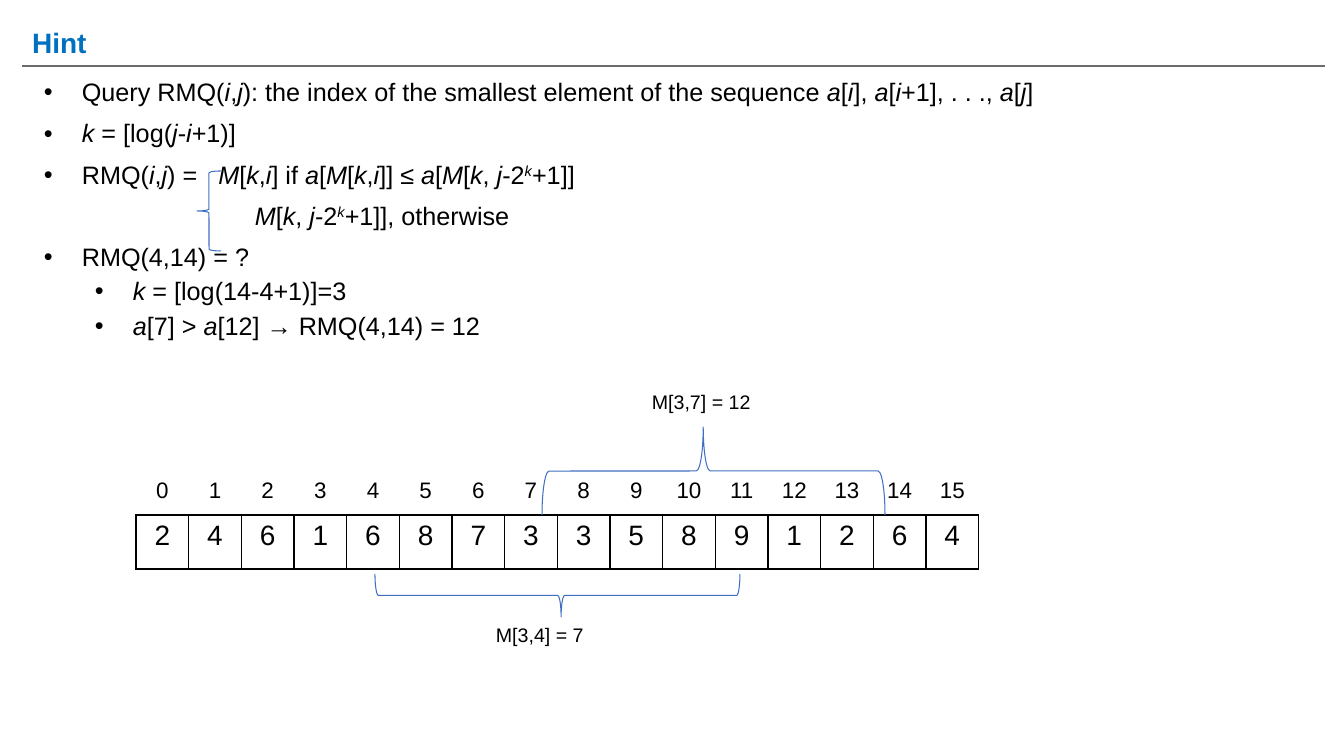
import lxml.etree
import pptx
import pptx.dml.color
import pptx.enum.shapes
import pptx.enum.text
import pptx.oxml.ns
import pptx.util

SLIDE_W, SLIDE_H = 1344, 756
EMU_PER_PX = 12192000 / SLIDE_W
FONT = "Arial"
COLORS = {"title": "0070C0", "text": "000000", "rule": "6B6B6B", "brace": "3F6FC3"}
NO_GRID_STYLE = "{2D5ABB26-0587-4C30-8999-92F81FD0307C}"

TOP = {"space": 10, "left": 50, "hang": 38}
SUB = {"space": 5, "left": 101, "hang": 38}
CASE = {"space": 10, "left": 223, "hang": 0}
# *text* is italic, *^text* is an italic superscript, *~* is a wide space.
HINTS = [
    (TOP, "Query RMQ(*i*,*j*): the index of the smallest element of the sequence "
          "*a*[*i*], *a*[*i*+1], . . ., *a*[*j*]"),
    (TOP, "*k* = [log(*j*-*i*+1)]"),
    (TOP, "RMQ(*i*,*j*) =*~**M*[*k*,*i*] if *a*[*M*[*k*,*i*]] ≤ "
          "*a*[*M*[*k*, *j*-2*^k*+1]]"),
    (CASE, "*M*[*k*, *j*-2*^k*+1]], otherwise"),
    (TOP, "RMQ(4,14) = ?"),
    (SUB, "*k* = [log(14-4+1)]=3"),
    (SUB, "*a*[7] > *a*[12] → RMQ(4,14) = 12"),
]
SEQUENCE = [2, 4, 6, 1, 6, 8, 7, 3, 3, 5, 8, 9, 1, 2, 6, 4]


def px(n):
    return pptx.util.Emu(round(n * EMU_PER_PX))


def rgb(name):
    return pptx.dml.color.RGBColor.from_string(COLORS[name])


def add_xml(parent, tag, **attrs):
    return lxml.etree.SubElement(parent, pptx.oxml.ns.qn(tag), attrs)


def set_attrs(obj, values):
    for name, value in values.items():
        setattr(obj, name, value)


def add_run(p, text, size, color="text", **formats):
    r = p.add_run()
    r.text = text
    set_attrs(r.font, {"name": FONT, "size": pptx.util.Pt(size), **formats})
    r.font.color.rgb = rgb(color)
    return r


def add_rich_text(p, text, size):
    for i, part in enumerate(text.split("*")):
        if not part:
            continue
        if part == "~":
            add_run(p, " ", size).font._element.set("spc", "1000")
            continue
        r = add_run(p, part.lstrip("^"), size, italic=bool(i % 2))
        if part.startswith("^"):
            r.font._element.set("baseline", "30000")


def style_line(line, color):
    line.color.rgb = rgb(color)
    line.width = pptx.util.Pt(0.75)


def add_title(slide, x, y, w, h):
    title = slide.shapes.title
    set_attrs(title, {"left": px(x), "top": px(y), "width": px(w), "height": px(h)})
    tf = title.text_frame
    set_attrs(tf, {"vertical_anchor": pptx.enum.text.MSO_ANCHOR.MIDDLE,
                   "auto_size": pptx.enum.text.MSO_AUTO_SIZE.NONE, "word_wrap": True})
    p = tf.paragraphs[0]
    set_attrs(p, {"alignment": pptx.enum.text.PP_ALIGN.LEFT, "line_spacing": 0.9})
    add_run(p, "Hint", 20, "title", bold=True)
    rule_y = px(y + 51)
    rule = slide.shapes.add_connector(pptx.enum.shapes.MSO_CONNECTOR.STRAIGHT,
                                      px(x), rule_y, px(x + w), rule_y)
    style_line(rule.line, "rule")
    add_xml(rule._element.spPr, "a:effectLst")


def add_hints(slide, x, y, w, h):
    tf = slide.shapes.add_textbox(px(x), px(y), px(w), px(h)).text_frame
    tf.word_wrap = True
    for i, (level, text) in enumerate(HINTS):
        p = tf.add_paragraph() if i else tf.paragraphs[0]
        set_attrs(p, {"line_spacing": 0.9, "space_before": pptx.util.Pt(level["space"]),
                      "level": int(level is SUB)})
        pPr = p._p.get_or_add_pPr()
        pPr.set("marL", str(px(level["left"])))
        pPr.set("indent", str(px(-level["hang"])))
        if level["hang"]:
            add_xml(add_xml(pPr, "a:buClr"), "a:srgbClr", val=COLORS["text"])
            add_xml(pPr, "a:buFont", typeface=FONT)
            add_xml(pPr, "a:buChar", char="•")
        add_rich_text(p, text, 18)
    add_brace(slide, x + 175, y + 96, 24, 80)


def add_brace(slide, x, y, w, h, rotation=0, tip=0.5):
    """Place a brace in the box it covers once it has been turned."""
    bw, bh = (h, w) if rotation else (w, h)
    sp = slide.shapes.add_shape(pptx.enum.shapes.MSO_SHAPE.LEFT_BRACE,
                                px(x + (w - bw) / 2), px(y + (h - bh) / 2), px(bw), px(bh))
    sp.rotation = rotation
    sp.adjustments[0], sp.adjustments[1] = 0.08, tip
    sp.shadow.inherit = False
    sp.fill.background()
    style_line(sp.line, "brace")


def add_cell_borders(cell):
    tcPr = cell._tc.get_or_add_tcPr()
    for side in ("a:lnL", "a:lnR", "a:lnT", "a:lnB"):
        ln = add_xml(tcPr, side, w=str(pptx.util.Pt(1)))
        add_xml(add_xml(ln, "a:solidFill"), "a:srgbClr", val=COLORS["text"])


def add_number_row(slide, x, y, w, h, numbers, size, bordered):
    table = slide.shapes.add_table(1, len(numbers), px(x), px(y), px(w), px(h)).table
    set_attrs(table, {"first_row": False, "horz_banding": False})
    table._tbl.tblPr.find(pptx.oxml.ns.qn("a:tableStyleId")).text = NO_GRID_STYLE
    for column, cell, number in zip(table.columns, table.rows[0].cells, numbers):
        column.width = px(w / len(numbers))
        if bordered:
            add_cell_borders(cell)
        cell.fill.background()
        p = cell.text_frame.paragraphs[0]
        p.alignment = pptx.enum.text.PP_ALIGN.CENTER
        add_run(p, str(number), size)


def add_label(slide, x, y, w, h, text):
    tf = slide.shapes.add_textbox(px(x), px(y), px(w), px(h)).text_frame
    tf.word_wrap = True
    add_run(tf.paragraphs[0], text, 14)


def add_sequence(slide, x, y, w, h):
    add_number_row(slide, x, y, w, h, SEQUENCE, 20, True)
    add_number_row(slide, x, y - 42, w, 47, range(len(SEQUENCE)), 16, False)
    add_brace(slide, x + 239, y + 59, 365, 43, 270, 0.51)
    add_brace(slide, x + 406, y - 88, 343, 88, 90, 0.53)
    add_label(slide, x + 350, y + 103, 143, 40, "M[3,4] = 7")
    add_label(slide, x + 506, y - 130, 170, 40, "M[3,7] = 12")


def main():
    prs = pptx.Presentation()
    set_attrs(prs, {"slide_width": px(SLIDE_W), "slide_height": px(SLIDE_H)})
    slide = prs.slides.add_slide(prs.slide_layouts.get_by_name("Title Only"))
    add_title(slide, 22, 15, 1303, 59)
    add_hints(slide, 22, 75, 1300, 637)
    add_sequence(slide, 136, 515, 843, 54)
    prs.save("out.pptx")


if __name__ == "__main__":
    main()
